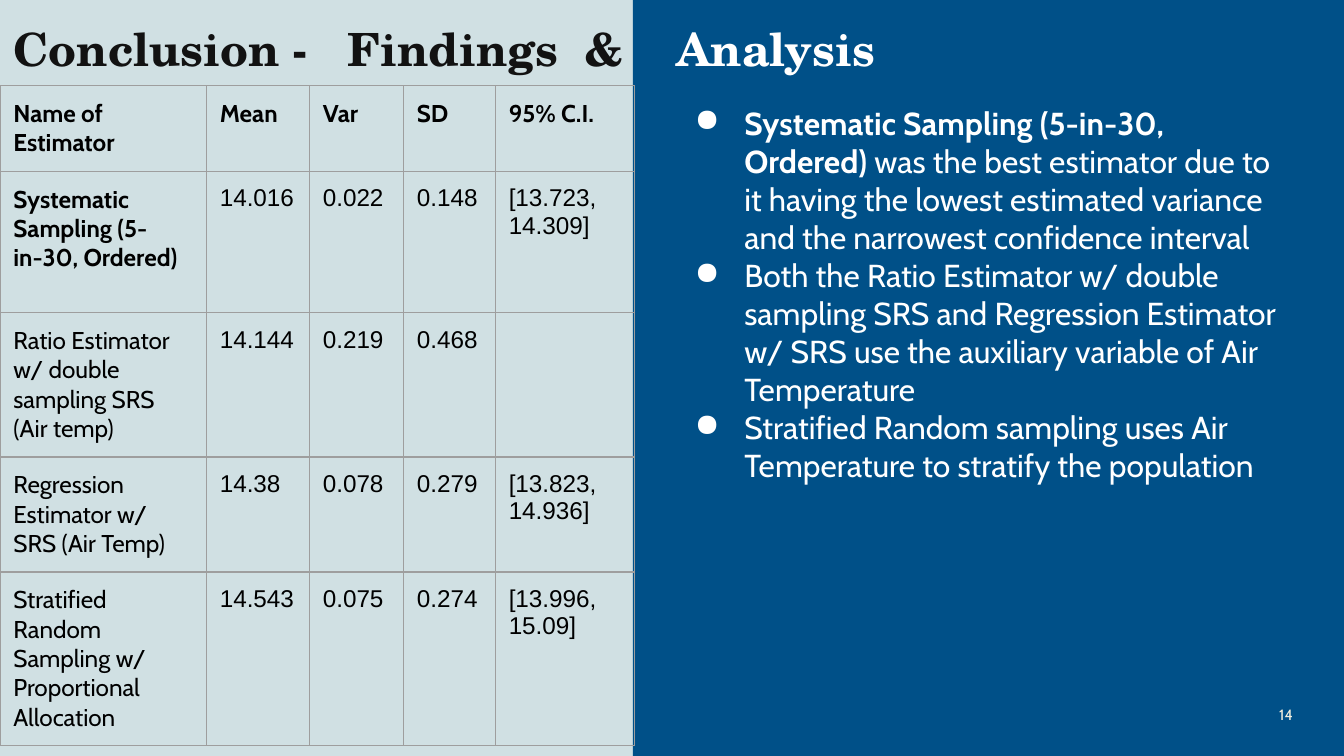
from lxml.etree import SubElement
from pptx import Presentation
from pptx.dml.color import RGBColor
from pptx.enum.shapes import MSO_SHAPE
from pptx.enum.text import MSO_ANCHOR, MSO_AUTO_SIZE, PP_ALIGN
from pptx.oxml import parse_xml
from pptx.oxml.ns import nsdecls, qn
from pptx.util import Pt

# Content: a paragraph is a list of (text, format changes) runs
TITLE = [("Conclusion -\tFindings\t&\t", {}), ("Analysis", {"color": "FFFFFF"})]
TABS = [179, 306, 355]
HEAD = ["Name of Estimator", "Mean", "Var", "SD", "95% C.I."]
ROWS = [
    ["Systematic Sampling (5-in-30, Ordered)", "14.016", "0.022", "0.148", "[13.723, 14.309]"],
    ["Ratio Estimator w/ double sampling SRS (Air temp)", "14.144", "0.219", "0.468", ""],
    ["Regression Estimator w/ SRS (Air Temp)", "14.38", "0.078", "0.279", "[13.823,\n14.936]"],
    ["Stratified Random Sampling w/ Proportional Allocation", "14.543", "0.075", "0.274",
     "[13.996,\n15.09]"],
]
WIDTHS = [110.6, 55.2, 50.4, 49.2, 74.6]
HEIGHTS = [33, 75.6, 75.6, 60.5, 90.7]
POINTS = [
    [("Systematic Sampling (5-in-30, Ordered) ", {"bold": True}),
     ("was the best estimator due to it having the lowest estimated variance "
      "and the narrowest confidence interval", {})],
    [("Both the Ratio Estimator w/ double sampling SRS and Regression Estimator w/ SRS "
      "use the auxiliary variable of Air Temperature", {})],
    [("Stratified Random sampling uses Air Temperature to stratify the population", {})],
]
PAD = 7.2


def paint(target, color):
    target.solid()
    target.fore_color.rgb = RGBColor.from_string(color)


def write(frame, paras, size=13, face="Cabin", color="000000", bold=False,
          align=PP_ALIGN.LEFT, bullet=False, tabs=(), line=None):
    for i, runs in enumerate(paras):
        para = frame.paragraphs[0] if i == 0 else frame.add_paragraph()
        para.alignment = align
        if line:
            para.line_spacing = line
        props = para._p.get_or_add_pPr()
        if bullet:
            props.set("marL", str(Pt(36)))
            props.set("indent", str(-Pt(26.6)))
            tint = SubElement(props, qn("a:buClr"))
            SubElement(tint, qn("a:srgbClr"), val=color)
            SubElement(props, qn("a:buChar"), char="●")
        if tabs:
            stops = SubElement(props, qn("a:tabLst"))
            for stop in tabs:
                SubElement(stops, qn("a:tab"), pos=str(Pt(stop)), algn="l")
        for text, change in runs:
            run = para.add_run()
            run.text = text
            font = run.font
            font.size, font.name = Pt(size), face
            font.bold = change.get("bold", bold)
            paint(font.fill, change.get("color", color))


def setup(frame, anchor=MSO_ANCHOR.TOP):
    frame.word_wrap = True
    frame.auto_size = MSO_AUTO_SIZE.NONE
    frame.vertical_anchor = anchor
    frame.margin_left = frame.margin_right = Pt(PAD)
    frame.margin_top = frame.margin_bottom = Pt(PAD)
    return frame


def border(cell, color, width):
    props = cell._tc.get_or_add_tcPr()
    for i, side in enumerate("LRTB"):
        props.insert(i, parse_xml(
            f'<a:ln{side} {nsdecls("a")} w="{Pt(width)}"><a:solidFill>'
            f'<a:srgbClr val="{color}"/></a:solidFill></a:ln{side}>'))


deck = Presentation()
deck.slide_width, deck.slide_height = Pt(720), Pt(405)
slide = deck.slides.add_slide(deck.slide_layouts[5])
paint(slide.background.fill, "D0E0E3")
shapes = slide.shapes

# Blue panel, behind the title
panel = shapes.add_shape(MSO_SHAPE.RECTANGLE, Pt(339), 0, Pt(381), Pt(405))
panel.shadow.inherit = False
paint(panel.fill, "005088")
panel.line.fill.background()

# Title
title = shapes.title
title.element.addprevious(panel.element)
title.left, title.top, title.width, title.height = Pt(0), Pt(-5), Pt(521), Pt(53)
write(setup(title.text_frame, MSO_ANCHOR.BOTTOM), [TITLE], size=24.5,
      face="TeX Gyre Schola", color="121212", bold=True, tabs=TABS, line=0.9)

# Table of estimators
grid = shapes.add_table(len(HEIGHTS), len(WIDTHS), Pt(0), Pt(46),
                        Pt(sum(WIDTHS)), Pt(sum(HEIGHTS))).table
grid.first_row = grid.horz_banding = False
for col, width in zip(grid.columns, WIDTHS):
    col.width = Pt(width)
for row, height in zip(grid.rows, HEIGHTS):
    row.height = Pt(height)
for r, texts in enumerate([HEAD] + ROWS):
    for c, text in enumerate(texts):
        cell = grid.cell(r, c)
        cell.margin_left = cell.margin_right = Pt(PAD)
        cell.margin_top = cell.margin_bottom = Pt(PAD)
        cell.fill.background()
        border(cell, "9E9E9E", 0.75)
        label = r == 0 or c == 0
        if text:
            write(cell.text_frame, [[(part, {})] for part in text.split("\n")],
                  face="Cabin" if label else "Arial", bold=label and r < 2)

# Findings
box = shapes.add_textbox(Pt(355.7), Pt(48.2), Pt(340), Pt(330))
write(setup(box.text_frame), POINTS, size=17, color="FFFFFF", bullet=True)

# Page number
page = shapes.add_textbox(Pt(667.4), Pt(367.2), Pt(43.2), Pt(31))
write(setup(page.text_frame, MSO_ANCHOR.MIDDLE), [[("14", {})]], size=8,
      color="F3F0DF", align=PP_ALIGN.CENTER)

deck.save("out.pptx")
